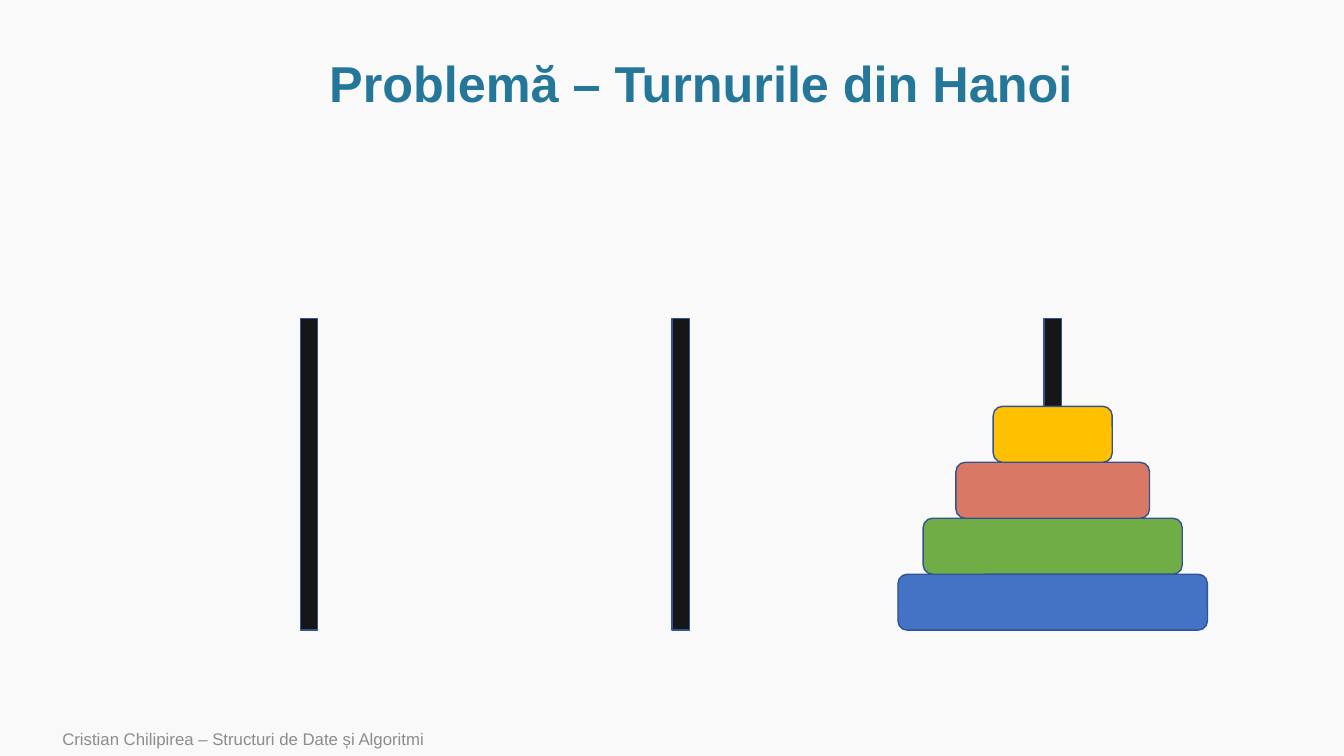
"""Builds the Towers of Hanoi slide with every disk on the third rod."""
import pptx
import pptx.util
import pptx.dml.color
import pptx.enum.shapes
import pptx.enum.text

Cm = pptx.util.Cm
Pt = pptx.util.Pt
RGBColor = pptx.dml.color.RGBColor
Shapes = pptx.enum.shapes.MSO_SHAPE
Align = pptx.enum.text.PP_ALIGN

BACKGROUND = RGBColor(0xF9, 0xF9, 0xF9)
TEAL = RGBColor(0x24, 0x77, 0x98)
GREY = RGBColor(0x8C, 0x8C, 0x8C)
BLACK = RGBColor(0x17, 0x16, 0x16)
OUTLINE = RGBColor(0x32, 0x54, 0x91)
BLUE = RGBColor(0x44, 0x72, 0xC4)
GREEN = RGBColor(0x70, 0xAD, 0x47)
RED = RGBColor(0xD9, 0x78, 0x65)
YELLOW = RGBColor(0xFF, 0xC0, 0x00)

ROD_CENTRES = [7.79 + 9.37 * rod for rod in range(3)]
ROD_WIDTH, ROD_HEIGHT = 0.44, 7.85
DISK_HEIGHT = 1.41
FLOOR = 15.88
DISKS = [(7.8, BLUE), (6.53, GREEN), (4.88, RED), (3.0, YELLOW)]


class HanoiSlide:
    """Holds the style and the current slide."""

    font = "Arial"

    def __init__(self, deck):
        self.slide = deck.slides.add_slide(deck.slide_layouts[5])
        self.slide.background.fill.solid()
        self.slide.background.fill.fore_color.rgb = BACKGROUND

    def add_line(self, frame, words, size, color, bold=False, align=Align.LEFT):
        frame.word_wrap = True
        frame.vertical_anchor = pptx.enum.text.MSO_ANCHOR.MIDDLE
        line = frame.paragraphs[0]
        line.alignment = align
        run = line.add_run()
        run.text = words
        run.font.name = self.font
        run.font.size = Pt(size)
        run.font.bold = bold
        run.font.color.rgb = color
        return line

    def title(self, words, left, top, width, height):
        heading = self.slide.shapes.title
        heading.left, heading.top = Cm(left), Cm(top)
        heading.width, heading.height = Cm(width), Cm(height)
        line = self.add_line(heading.text_frame, words, 36, TEAL, True, Align.CENTER)
        line.line_spacing = 0.9

    def footer(self, words, left, top, width, height):
        credit = self.slide.shapes.add_textbox(Cm(left), Cm(top), Cm(width), Cm(height))
        self.add_line(credit.text_frame, words, 12, GREY)

    def block(self, kind, centre, bottom, width, height, color):
        piece = self.slide.shapes.add_shape(
            kind, Cm(centre - width / 2), Cm(bottom - height), Cm(width), Cm(height))
        piece.shadow.inherit = False
        piece.fill.solid()
        piece.fill.fore_color.rgb = color
        piece.line.color.rgb = OUTLINE
        piece.line.width = Pt(1)


def main():
    deck = pptx.Presentation()
    deck.slide_width, deck.slide_height = Cm(33.87), Cm(19.05)
    hanoi = HanoiSlide(deck)
    hanoi.footer("Cristian Chilipirea – Structuri de Date și Algoritmi", 1.32, 18.19, 21.34, 0.86)
    hanoi.title("Problemă – Turnurile din Hanoi", 2.9, 1.3, 29.54, 1.75)
    for centre in ROD_CENTRES:
        hanoi.block(Shapes.RECTANGLE, centre, FLOOR, ROD_WIDTH, ROD_HEIGHT, BLACK)
    for level, (width, color) in enumerate(DISKS):
        hanoi.block(Shapes.ROUNDED_RECTANGLE, ROD_CENTRES[-1],
                    FLOOR - level * DISK_HEIGHT, width, DISK_HEIGHT, color)
    deck.save("out.pptx")


if __name__ == "__main__":
    main()
